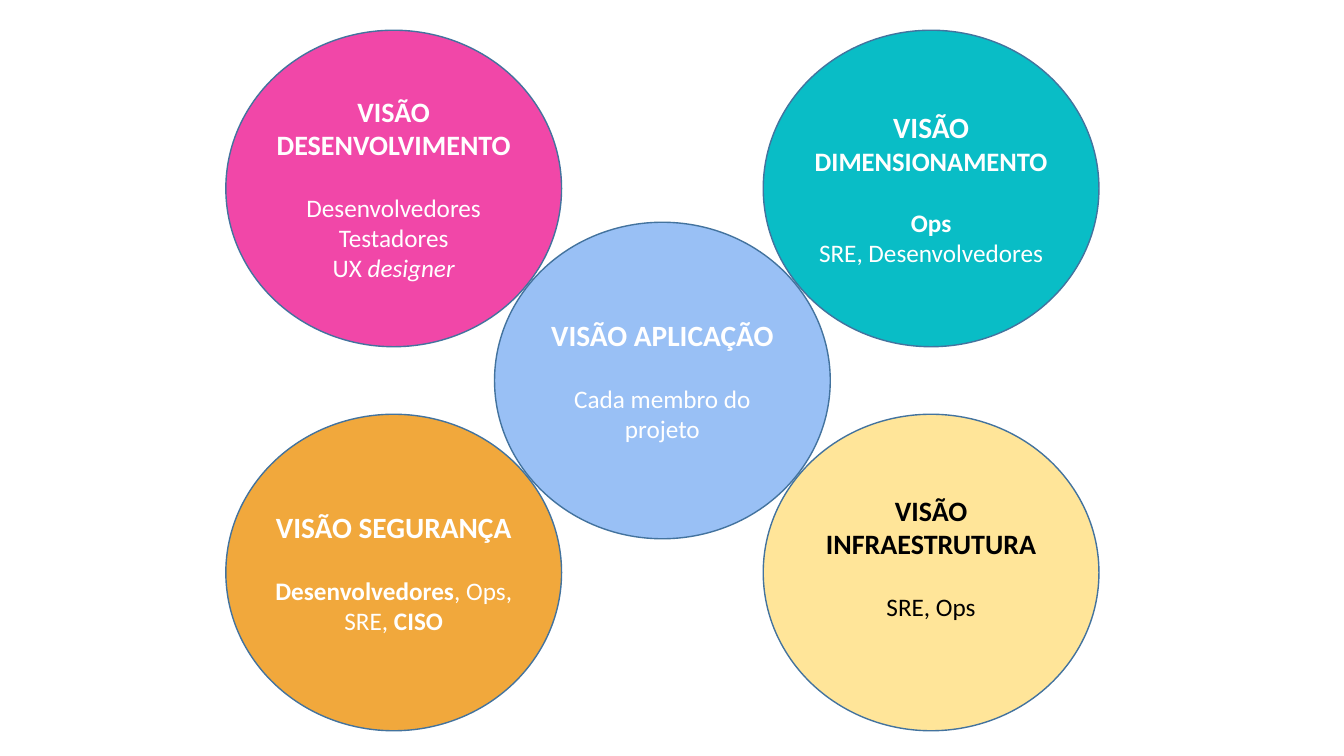
from dataclasses import dataclass

from pptx import Presentation
from pptx.dml.color import RGBColor
from pptx.enum.shapes import MSO_SHAPE
from pptx.enum.text import MSO_ANCHOR, PP_ALIGN
from pptx.util import Inches, Pt

ELLIPSE = MSO_SHAPE.OVAL
MIDDLE = MSO_ANCHOR.MIDDLE
CENTER = PP_ALIGN.CENTER
BLANK_LAYOUT = 6


@dataclass(frozen=True)
class Theme:
    font: str = "Calibri"
    development: str = "F147A8"
    application: str = "99C0F5"
    sizing: str = "09BDC6"
    security: str = "F1A83C"
    infrastructure: str = "FFE599"
    outline: str = "43739E"
    light_text: str = "FFFFFF"
    dark_text: str = "000000"
    heading: int = 21
    heading_small: int = 20
    heading_tight: int = 19
    body: int = 18
    body_gap: int = 22
    outline_width: int = 1


class SlideBuilder:
    def __init__(self, slide, theme):
        self.slide = slide
        self.theme = theme

    def add_circle(self, left, top, width, height, fill, margins):
        shape = self.slide.shapes.add_shape(
            ELLIPSE, Inches(left), Inches(top), Inches(width), Inches(height)
        )
        shape.shadow.inherit = False
        shape.fill.solid()
        shape.fill.fore_color.rgb = RGBColor.from_string(fill)
        shape.line.color.rgb = RGBColor.from_string(self.theme.outline)
        shape.line.width = Pt(self.theme.outline_width)
        frame = shape.text_frame
        frame.word_wrap = True
        frame.vertical_anchor = MIDDLE
        for side, margin in zip(("left", "top", "right", "bottom"), margins):
            setattr(frame, f"margin_{side}", Inches(margin))
        return frame

    def add_paragraph(self, frame, runs, size, color, is_first=False, gap=0):
        paragraph = frame.paragraphs[0] if is_first else frame.add_paragraph()
        paragraph.alignment = CENTER
        paragraph.space_before = Pt(gap)
        for text, changes in runs:
            run = paragraph.add_run()
            run.text = text
            run.font.color.rgb = RGBColor.from_string(color)
            formats = {"name": self.theme.font, "size": Pt(size), "bold": False, **changes}
            for name, value in formats.items():
                setattr(run.font, name, value)

    def add_view(self, left, top, width, height, fill, heading, heading_size, body,
                 color=None, margins=(0, 0, 0, 0)):
        color = color or self.theme.light_text
        frame = self.add_circle(left, top, width, height, fill, margins)
        self.add_paragraph(frame, heading, heading_size, color, is_first=True)
        for index, runs in enumerate(body):
            gap = self.theme.body_gap if index == 0 else 0
            self.add_paragraph(frame, runs, self.theme.body, color, gap=gap)


theme = Theme()
presentation = Presentation()
presentation.slide_width = Inches(13.33)
presentation.slide_height = Inches(7.5)
slide = presentation.slides.add_slide(presentation.slide_layouts[BLANK_LAYOUT])
builder = SlideBuilder(slide, theme)

CIRCLE_WIDTH, CIRCLE_HEIGHT = 3.33, 3.14
FIRST_LEFT, LAST_LEFT = 2.24, 7.57
FIRST_TOP, LAST_TOP = 0.3, 4.11
COLUMN_STEP = (LAST_LEFT - FIRST_LEFT) / 2
ROW_STEP = (LAST_TOP - FIRST_TOP) / 2
BOLD = {"bold": True}
ITALIC = {"italic": True}
TIGHT_HEADING = {"bold": True, "size": Pt(theme.heading_tight)}

views = [
    (0, 0, {
        "fill": theme.development,
        "heading": [("VISÃO DESENVOLVIMENTO", BOLD)],
        "heading_size": theme.heading_small,
        "body": [
            [("Desenvolvedores", {})],
            [("Testadores", {})],
            [("UX ", {}), ("designer", ITALIC)],
        ],
    }),
    (1, 1, {
        "fill": theme.application,
        "heading": [("VISÃO APLICAÇÃO", BOLD)],
        "heading_size": theme.heading,
        "body": [[("Cada membro do projeto", {})]],
    }),
    (2, 0, {
        "fill": theme.sizing,
        "heading": [("VISÃO ", BOLD), ("DIMENSIONAMENTO", TIGHT_HEADING)],
        "heading_size": theme.heading,
        "body": [[("Ops", BOLD)], [("SRE, Desenvolvedores", {})]],
    }),
    (0, 2, {
        "fill": theme.security,
        "heading": [("VISÃO SEGURANÇA", BOLD)],
        "heading_size": theme.heading,
        "body": [[("Desenvolvedores", BOLD), (", Ops, SRE, ", {}), ("CISO", BOLD)]],
    }),
    (2, 2, {
        "fill": theme.infrastructure,
        "heading": [("VISÃO INFRAESTRUTURA", BOLD)],
        "heading_size": theme.heading_small,
        "body": [[("SRE, Ops", {})]],
        "color": theme.dark_text,
        "margins": (0.1, 0.05, 0.1, 0.35),
    }),
]

for column, row, view in views:
    builder.add_view(
        FIRST_LEFT + column * COLUMN_STEP,
        FIRST_TOP + row * ROW_STEP,
        CIRCLE_WIDTH,
        CIRCLE_HEIGHT,
        **view,
    )

presentation.save("out.pptx")
